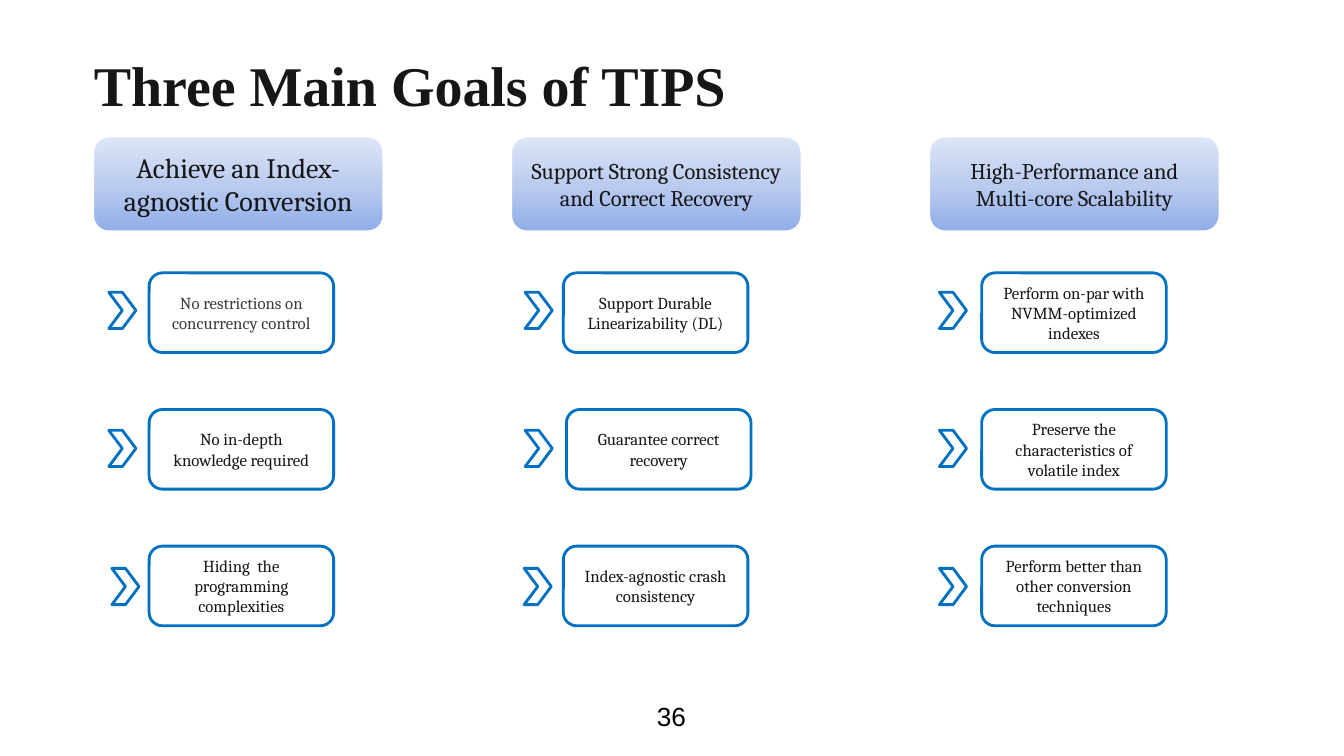
from copy import deepcopy

from pptx import Presentation
from pptx.dml.color import RGBColor
from pptx.enum.shapes import MSO_SHAPE
from pptx.enum.text import MSO_ANCHOR, MSO_AUTO_SIZE, PP_ALIGN
from pptx.oxml.ns import qn
from pptx.util import Pt

ROUNDED = MSO_SHAPE.ROUNDED_RECTANGLE
CHEVRON = MSO_SHAPE.CHEVRON
MIDDLE = MSO_ANCHOR.MIDDLE
BOTTOM = MSO_ANCHOR.BOTTOM
NO_AUTOFIT = MSO_AUTO_SIZE.NONE
LEFT = PP_ALIGN.LEFT
CENTER = PP_ALIGN.CENTER

TITLE_ONLY = 5
WHITE = "FFFFFF"
BLACK = "000000"
INK = "161616"
GREY = "3A3C3E"
BLUE = "0070C0"
HEADER_STOPS = [(0, "8FADE9"), (0.5, "BCCCEF"), (1, "DEE6F7")]

COLUMN_LEFT, COLUMN_TOP, COLUMN_PITCH = 66.24, 97.2, 298.6
HEADER_WIDTH, HEADER_HEIGHT = 208, 68.4
GOAL_TOP, GOAL_PITCH, GOAL_WIDTH, GOAL_HEIGHT = 97.7, 97.6, 131.8, 56.9
CHEVRON_TOP, CHEVRON_PITCH, CHEVRON_WIDTH, CHEVRON_HEIGHT = 111.6, 98.6, 19.4, 25.9

COLUMNS = [
    {
        "header": "Achieve an Index-agnostic Conversion",
        "header_size": 20,
        "goal_offsets": [40.3, 40.3, 40.3],
        "chevron_offsets": [11.5, 11.5, 13.7],
        "goals": [
            ("No restrictions on concurrency control", GREY),
            ("No in-depth knowledge required", INK),
            ("Hiding  the programming complexities", INK),
        ],
    },
    {
        "header": "Support Strong Consistency and Correct Recovery",
        "header_size": 16,
        "goal_offsets": [37.6, 39.8, 37.6],
        "chevron_offsets": [10.3, 10.3, 9.6],
        "goals": [
            ("Support Durable Linearizability (DL)", INK),
            ("Guarantee correct recovery", INK),
            ("Index-agnostic crash consistency", INK),
        ],
    },
    {
        "header": "High-Performance and Multi-core Scalability",
        "header_size": 16,
        "goal_offsets": [37.8, 37.8, 37.8],
        "chevron_offsets": [7.6, 7.6, 7.6],
        "goals": [
            ("Perform on-par with NVMM-optimized indexes", INK),
            ("Preserve the characteristics of volatile index", INK),
            ("Perform better than other conversion techniques", INK),
        ],
    },
]


def color(value):
    return RGBColor.from_string(value)


def write_text(shape, text, size, font="Cambria", fill=INK, bold=False,
               align=CENTER, anchor=MIDDLE, inset=None):
    frame = shape.text_frame
    frame.word_wrap = True
    frame.auto_size = NO_AUTOFIT
    frame.vertical_anchor = anchor
    if inset is not None:
        frame.margin_left = frame.margin_right = Pt(inset)
        frame.margin_top = frame.margin_bottom = Pt(inset)
    paragraph = frame.paragraphs[0]
    paragraph.alignment = align
    run = paragraph.add_run()
    run.text = text
    run.font.name = font
    run.font.size = Pt(size)
    run.font.bold = bold
    run.font.color.rgb = color(fill)


def add_outlined_shape(slide, kind, left, top, width, height, line=BLUE):
    shape = slide.shapes.add_shape(kind, Pt(left), Pt(top), Pt(width), Pt(height))
    shape.shadow.inherit = False
    shape.fill.solid()
    shape.fill.fore_color.rgb = color(WHITE)
    shape.line.color.rgb = color(line)
    shape.line.width = Pt(2)
    return shape


def apply_gradient(shape, stops):
    shape.fill.gradient()
    shape.fill.gradient_angle = 90
    stop_list = shape._element.spPr.find(".//" + qn("a:gsLst"))
    stop_list.append(deepcopy(stop_list[0]))
    for stop, (position, value) in zip(shape.fill.gradient_stops, stops):
        stop.position = position
        stop.color.rgb = color(value)


def add_title(slide, left, top, width, height):
    title = slide.shapes.title
    title.left, title.top = Pt(left), Pt(top)
    title.width, title.height = Pt(width), Pt(height)
    write_text(title, "Three Main Goals of TIPS", 40, font="Times New Roman",
               bold=True, align=LEFT, anchor=BOTTOM, inset=9.4)


def add_page_number(slide, left, top, width, height):
    box = slide.shapes.add_textbox(Pt(left), Pt(top), Pt(width), Pt(height))
    write_text(box, "36", 18.7, font="Arial", fill=BLACK, inset=9.4)


def add_column(slide, left, top, column):
    header = add_outlined_shape(slide, ROUNDED, left, top,
                                HEADER_WIDTH, HEADER_HEIGHT, line=WHITE)
    apply_gradient(header, HEADER_STOPS)
    write_text(header, column["header"], column["header_size"])

    rows = zip(column["goals"], column["goal_offsets"], column["chevron_offsets"])
    for row, ((text, fill), goal_offset, chevron_offset) in enumerate(rows):
        goal = add_outlined_shape(slide, ROUNDED, left + goal_offset,
                                  top + GOAL_TOP + row * GOAL_PITCH,
                                  GOAL_WIDTH, GOAL_HEIGHT)
        write_text(goal, text, 12, fill=fill)
        add_outlined_shape(slide, CHEVRON, left + chevron_offset,
                           top + CHEVRON_TOP + row * CHEVRON_PITCH,
                           CHEVRON_WIDTH, CHEVRON_HEIGHT)


def main():
    presentation = Presentation()
    presentation.slide_width = Pt(960)
    presentation.slide_height = Pt(540)
    slide = presentation.slides.add_slide(presentation.slide_layouts[TITLE_ONLY])
    add_title(slide, 57.6, 36, 787, 57.6)
    add_page_number(slide, 422, 482.4, 115.2, 57.6)
    for index, column in enumerate(COLUMNS):
        add_column(slide, COLUMN_LEFT + index * COLUMN_PITCH, COLUMN_TOP, column)
    presentation.save("out.pptx")


if __name__ == "__main__":
    main()
